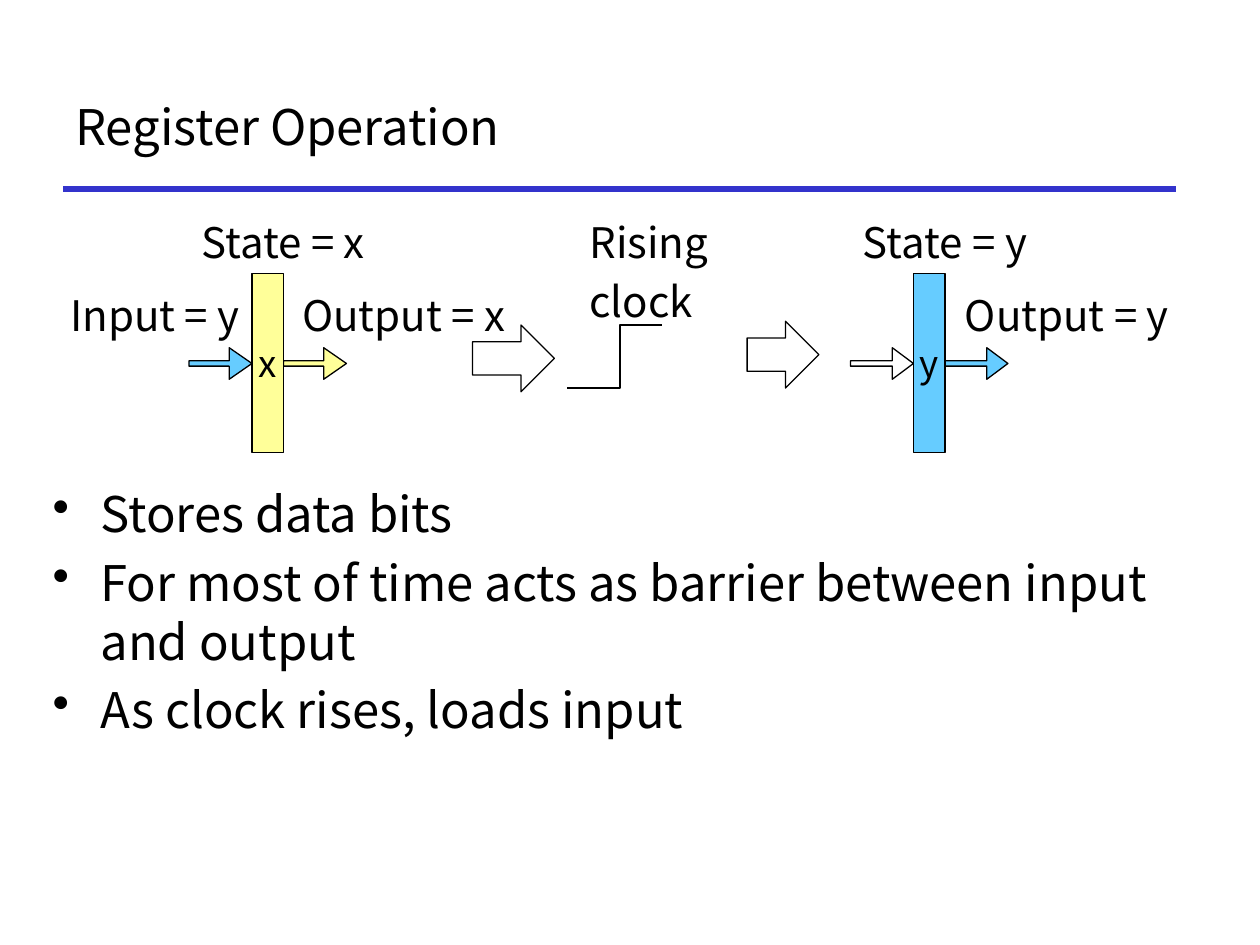
import pptx
import pptx.util
import pptx.dml.color
import pptx.enum.shapes
import pptx.enum.text
import pptx.oxml.ns
from lxml import etree
from pptx.util import Inches

COLORS = {"ink": "000000", "rule": "3333CC", "blue": "66CCFF", "yellow": "FFFF99", "white": "FFFFFF"}
FONT = "Noto Sans CJK KR"
SHAPES = pptx.enum.shapes.MSO_SHAPE
ALIGN = pptx.enum.text.PP_ALIGN
ANCHOR = pptx.enum.text.MSO_ANCHOR
rgb = pptx.dml.color.RGBColor.from_string

deck = pptx.Presentation()
deck.slide_width, deck.slide_height = Inches(10), Inches(7.5)
slide = deck.slides.add_slide(deck.slide_layouts[6])


def write(shape, lines, size, align=ALIGN.LEFT, wrap=False, bullet=False):
    frame = shape.text_frame
    frame.text = "\n".join(lines)
    frame.word_wrap = wrap
    for index, paragraph in enumerate(frame.paragraphs):
        paragraph.alignment = align
        if index:
            paragraph.space_before = pptx.util.Pt(size * 0.2)
        if bullet:
            properties = paragraph._p.get_or_add_pPr()
            properties.set("marL", str(Inches(0.38)))
            properties.set("indent", str(Inches(-0.38)))
            etree.SubElement(properties, pptx.oxml.ns.qn("a:buChar")).set("char", "•")
        for run in paragraph.runs:
            run.font.size = pptx.util.Pt(size)
            run.font.name = FONT
            run.font.color.rgb = rgb(COLORS["ink"])
            east_asian = etree.SubElement(run._r.get_or_add_rPr(), pptx.oxml.ns.qn("a:ea"))
            east_asian.set("typeface", FONT)


def draw(kind, left, top, width, height, fill=None):
    shape = slide.shapes.add_shape(kind, Inches(left), Inches(top), Inches(width), Inches(height))
    shape.shadow.inherit = False
    if fill:
        shape.fill.solid()
        shape.fill.fore_color.rgb = rgb(COLORS[fill])
    else:
        shape.fill.background()
    shape.line.color.rgb = rgb(COLORS["ink"])
    shape.line.width = pptx.util.Pt(0.75)
    return shape


rule = slide.shapes.add_connector(
    pptx.enum.shapes.MSO_CONNECTOR.STRAIGHT, Inches(0.5), Inches(1.5), Inches(9.33), Inches(1.5))
rule.line.color.rgb = rgb(COLORS["rule"])
rule.line.width = pptx.util.Pt(3)
etree.SubElement(rule._element.spPr, pptx.oxml.ns.qn("a:effectLst"))

title = slide.shapes.add_textbox(Inches(0.5), Inches(0.5), Inches(8.83), Inches(1))
write(title, ["Register Operation"], 28, wrap=True)
title.text_frame.vertical_anchor = ANCHOR.MIDDLE

points = slide.shapes.add_textbox(Inches(0.32), Inches(3.79), Inches(9.08), Inches(2.79))
write(points, [
    "Stores data bits",
    "For most of time acts as barrier between input and output",
    "As clock rises, loads input",
], 28, wrap=True, bullet=True)

clock_edge = slide.shapes.build_freeform(Inches(4.5), Inches(3.08), scale=1.0)
clock_edge.add_line_segments(
    [(Inches(x), Inches(y)) for x, y in [(4.92, 3.08), (4.92, 2.58), (5.25, 2.58)]], close=False)
clock_step = clock_edge.convert_to_shape()
clock_step.shadow.inherit = False
clock_step.fill.background()
clock_step.line.color.rgb = rgb(COLORS["ink"])
clock_step.line.width = pptx.util.Pt(0.75)

for lines, left, top, width, height, align, wrap in [
    (["State = x"], 1.5, 1.67, 1.55, 0.51, ALIGN.LEFT, False),
    (["Rising", "clock"], 4.58, 1.67, 1.5, 0.99, ALIGN.LEFT, True),
    (["Output = x"], 2.3, 2.25, 1.89, 0.51, ALIGN.LEFT, False),
    (["Input = y"], 0.41, 2.25, 1.59, 0.51, ALIGN.RIGHT, False),
    (["State = y"], 6.75, 1.67, 1.55, 0.51, ALIGN.LEFT, False),
    (["Output = y"], 7.56, 2.25, 1.87, 0.51, ALIGN.LEFT, False),
]:
    label = slide.shapes.add_textbox(Inches(left), Inches(top), Inches(width), Inches(height))
    write(label, lines, 24, align, wrap)
    label.text_frame.auto_size = pptx.enum.text.MSO_AUTO_SIZE.SHAPE_TO_FIT_TEXT

for state, left, input_fill, state_fill, head in [
    ("x", 1.5, "blue", "yellow", 0.72),
    ("y", 6.75, "white", "blue", 0.67),
]:
    for offset, fill in [(0, input_fill), (0.75, state_fill)]:
        signal = draw(SHAPES.RIGHT_ARROW, left + offset, 2.76, 0.5, 0.25, fill)
        signal.adjustments[0] = 0.17
        signal.adjustments[1] = head
    register = draw(SHAPES.RECTANGLE, left + 0.5, 2.17, 0.25, 1.42, state_fill)
    write(register, [state], 21, ALIGN.CENTER)
    register.text_frame.vertical_anchor = ANCHOR.MIDDLE

for left, top, width in [(3.75, 2.58, 0.65), (5.93, 2.55, 0.57)]:
    draw(SHAPES.RIGHT_ARROW, left, top, width, 0.53)

deck.save("out.pptx")
